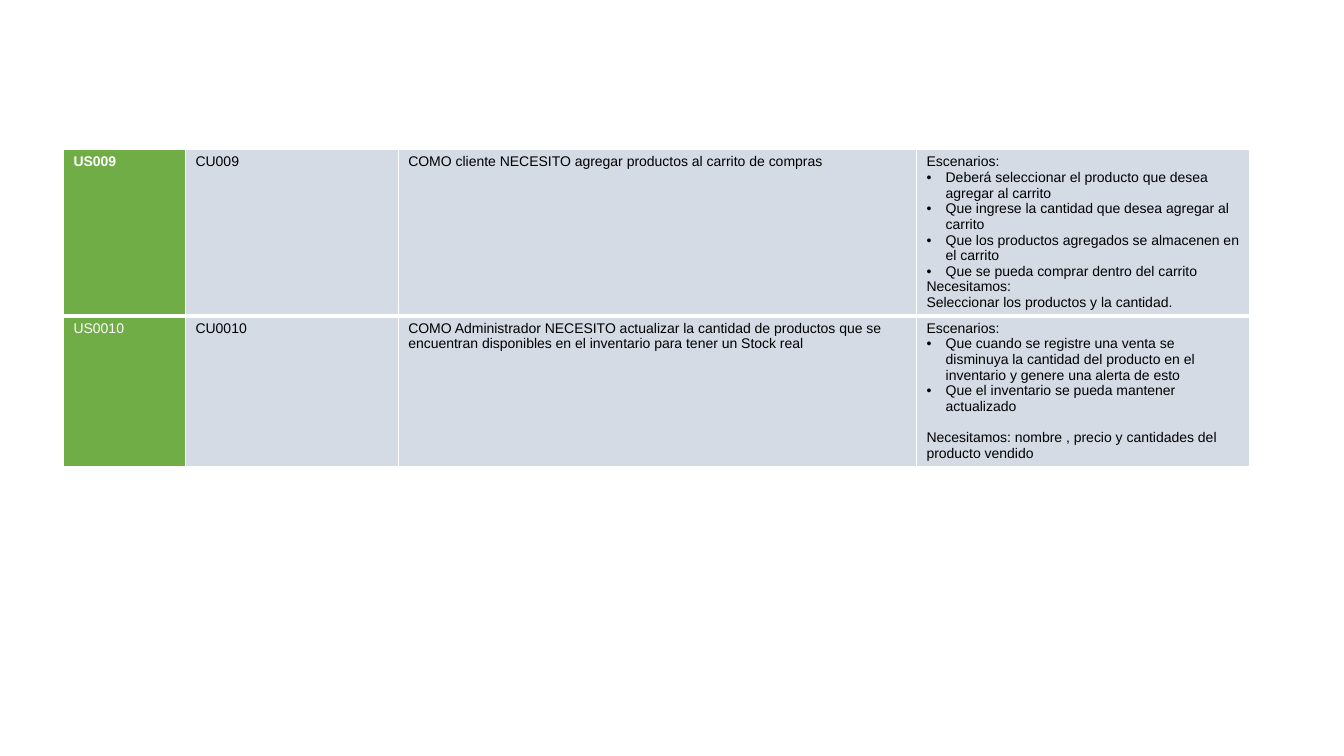
from lxml.etree import SubElement
from pptx import Presentation
from pptx.dml.color import RGBColor
from pptx.oxml.ns import qn
from pptx.util import Inches, Pt

WHITE, BLACK, GREEN, GREY = "FFFFFF", "000000", "70AD47", "D5DBE5"
COLUMN_WIDTHS = [1.21, 2.11, 5.14, 3.3]
ROW_HEIGHTS = [1.65, 1.49]
BULLET_INDENT = Inches(0.19)

# A leading "•" marks a bulleted line.
STORIES = [
    [
        ["US009"],
        ["CU009"],
        ["COMO cliente NECESITO agregar productos al carrito de compras"],
        [
            "Escenarios:",
            "•Deberá seleccionar el producto que desea agregar al carrito",
            "•Que ingrese la cantidad que desea agregar al carrito",
            "•Que los productos agregados se almacenen en el carrito",
            "•Que se pueda comprar dentro del carrito",
            "Necesitamos:",
            "Seleccionar los productos y la cantidad.",
        ],
    ],
    [
        ["US0010"],
        ["CU0010"],
        ["COMO Administrador NECESITO actualizar la cantidad de productos que se "
         "encuentran disponibles en el inventario para tener un Stock real"],
        [
            "Escenarios:",
            "•Que cuando se registre una venta se disminuya la cantidad del producto "
            "en el inventario y genere una alerta de esto",
            "•Que el inventario se pueda mantener actualizado",
            "Necesitamos: nombre , precio y cantidades del producto vendido",
        ],
    ],
]


def write(para, text, color=BLACK, bold=False, gap=0):
    """Fill a paragraph, with a hanging bullet when the text starts with one."""
    span = para.add_run()
    span.text = text.removeprefix("•")
    span.font.name = "Arial"
    span.font.size = Pt(10)
    span.font.bold = bold
    span.font.color.rgb = RGBColor.from_string(color)
    para.space_before = Pt(gap)
    if text.startswith("•"):
        properties = para._p.get_or_add_pPr()
        properties.set("marL", str(BULLET_INDENT))
        properties.set("indent", str(-BULLET_INDENT))
        SubElement(properties, qn("a:buFont"), typeface="Arial")
        SubElement(properties, qn("a:buChar"), char="•")


def add_border(cell, side, points):
    line = SubElement(cell._tc.get_or_add_tcPr(), qn(f"a:ln{side}"), w=str(Pt(points)))
    SubElement(SubElement(line, qn("a:solidFill")), qn("a:srgbClr"), val=WHITE)


deck = Presentation()
deck.slide_width, deck.slide_height = Inches(13.33), Inches(7.5)
page = deck.slides.add_slide(deck.slide_layouts[6])

table = page.shapes.add_table(
    len(ROW_HEIGHTS), len(COLUMN_WIDTHS), Inches(0.63), Inches(1.48),
    Inches(sum(COLUMN_WIDTHS)), Inches(sum(ROW_HEIGHTS))).table
table.first_row = table.horz_banding = False
for column, width in zip(table.columns, COLUMN_WIDTHS):
    column.width = Inches(width)
for row, height in zip(table.rows, ROW_HEIGHTS):
    row.height = Inches(height)

for row_index, story in enumerate(STORIES):
    first_row = row_index == 0
    for column_index, lines in enumerate(story):
        is_code = column_index == 0
        cell = table.cell(row_index, column_index)
        # The edge shared by the two rows is the thick one.
        for side, points in (("L", 1), ("R", 1), ("T", 1 if first_row else 3),
                             ("B", 3 if first_row else 1)):
            add_border(cell, side, points)
        cell.fill.solid()
        cell.fill.fore_color.rgb = RGBColor.from_string(GREEN if is_code else GREY)
        for line_index, text in enumerate(lines):
            frame = cell.text_frame
            para = frame.add_paragraph() if line_index else frame.paragraphs[0]
            write(para, text, color=WHITE if is_code else BLACK,
                  bold=is_code and first_row,
                  gap=11 if text.startswith("Necesitamos: ") else 0)

deck.save("out.pptx")
